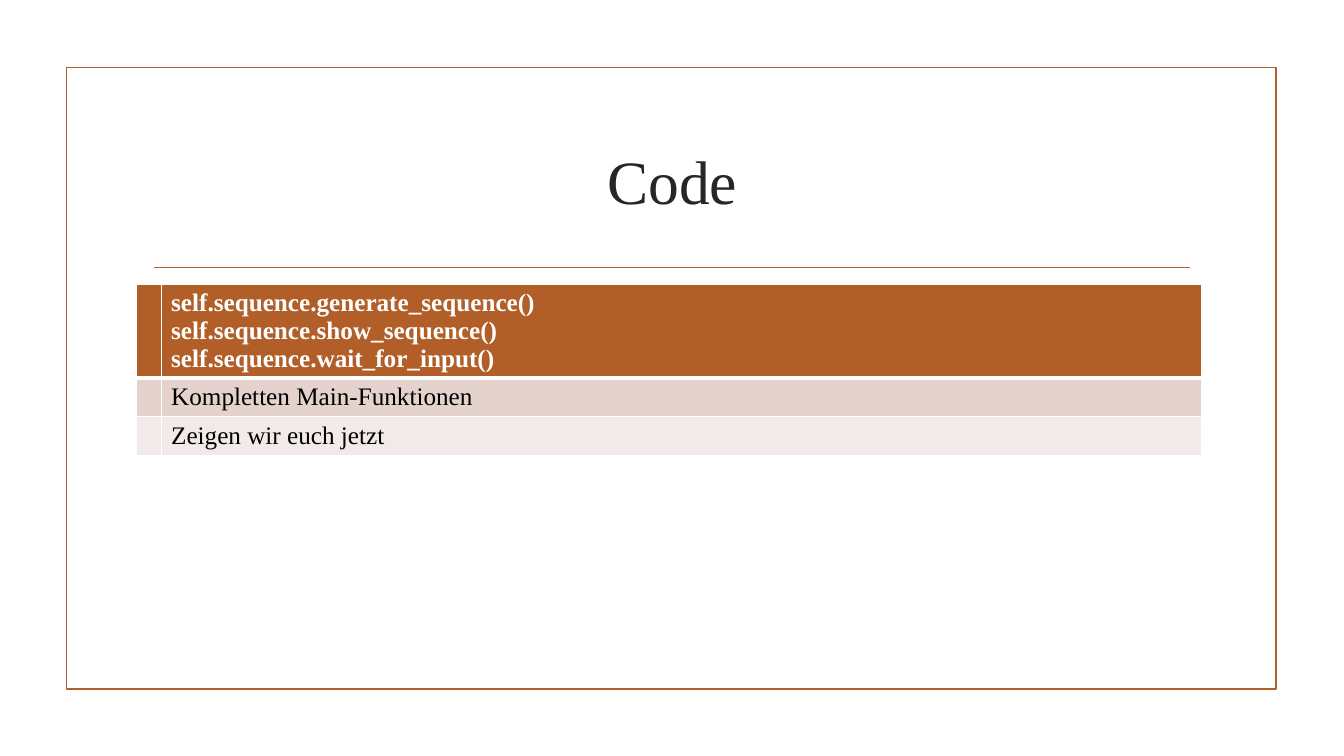
from dataclasses import dataclass

from lxml import etree
from pptx import Presentation
from pptx.dml.color import RGBColor
from pptx.enum import shapes, text
from pptx.oxml import ns
from pptx.util import Cm, Pt


@dataclass(frozen=True)
class Theme:
    font: str = "Times New Roman"
    accent: str = "B15E28"
    title_color: str = "262626"
    cell_border: str = "FFFFFF"
    title_size: float = 44
    body_size: float = 18
    line_width: float = 1.25


@dataclass(frozen=True)
class TableRow:
    lines: tuple[str, ...]
    height: float
    fill: str
    color: str
    bold: bool = False
    top_border: float = 1
    bottom_border: float = 1


THEME = Theme()
COLUMN_WIDTHS = (0.61, 26.21)
ROWS = (
    TableRow(
        ("self.sequence.generate_sequence()",
         "self.sequence.show_sequence()",
         "self.sequence.wait_for_input()"),
        2.34, THEME.accent, "FFFFFF", bold=True, bottom_border=3),
    TableRow(("Kompletten Main-Funktionen",), 0.98, "E4D2CD", "000000", top_border=3),
    TableRow(("Zeigen wir euch jetzt",), 0.98, "F2EAE8", "000000"),
)


def style_font(font, size: float, color: str, bold: bool = False) -> None:
    font.name = THEME.font
    font.size = Pt(size)
    font.bold = bold
    font.color.rgb = RGBColor.from_string(color)


def style_line(line) -> None:
    line.color.rgb = RGBColor.from_string(THEME.accent)
    line.width = Pt(THEME.line_width)


def add_border(cell, side: str, width: float) -> None:
    properties = cell._tc.get_or_add_tcPr()
    border = etree.SubElement(properties, ns.qn(f"a:ln{side}"), w=str(Pt(width)))
    fill = etree.SubElement(border, ns.qn("a:solidFill"))
    etree.SubElement(fill, ns.qn("a:srgbClr"), val=THEME.cell_border)


def fill_cell(cell, row: TableRow, lines: tuple[str, ...]) -> None:
    borders = {"L": 1, "R": 1, "T": row.top_border, "B": row.bottom_border}
    for side, width in borders.items():
        add_border(cell, side, width)
    cell.fill.solid()
    cell.fill.fore_color.rgb = RGBColor.from_string(row.fill)
    cell.text = "\n".join(lines)
    for para in cell.text_frame.paragraphs:
        style_font(para.font, THEME.body_size, row.color, row.bold)


def add_frame(page) -> None:
    frame = page.shapes.add_shape(
        shapes.MSO_SHAPE.RECTANGLE, Cm(1.68), Cm(1.7), Cm(30.48), Cm(15.67))
    frame.shadow.inherit = False
    frame.fill.background()
    style_line(frame.line)


def add_divider(page) -> None:
    divider = page.shapes.add_connector(
        shapes.MSO_CONNECTOR.STRAIGHT, Cm(3.89), Cm(6.74), Cm(30), Cm(6.74))
    etree.SubElement(divider._element.spPr, ns.qn("a:effectLst"))
    style_line(divider.line)


def set_title(page, wording: str) -> None:
    title = page.shapes.title
    title.left, title.top, title.width, title.height = (
        Cm(3.61), Cm(2.72), Cm(26.67), Cm(3.63))
    title.text_frame.text = wording
    title.text_frame.vertical_anchor = text.MSO_ANCHOR.MIDDLE
    para = title.text_frame.paragraphs[0]
    para.alignment = text.PP_ALIGN.CENTER
    style_font(para.font, THEME.title_size, THEME.title_color)


def add_code_table(page) -> None:
    table = page.shapes.add_table(
        len(ROWS), len(COLUMN_WIDTHS), Cm(3.45), Cm(7.16),
        Cm(sum(COLUMN_WIDTHS)), Cm(sum(row.height for row in ROWS))).table
    for column, width in zip(table.columns, COLUMN_WIDTHS):
        column.width = Cm(width)
    for table_row, row in zip(table.rows, ROWS):
        table_row.height = Cm(row.height)
        marker, content = table_row.cells
        fill_cell(marker, row, ())
        fill_cell(content, row, row.lines)


def main() -> None:
    deck = Presentation()
    deck.slide_width, deck.slide_height = Cm(33.87), Cm(19.05)
    page = deck.slides.add_slide(deck.slide_layouts[5])

    # Frame and title
    add_frame(page)
    add_divider(page)
    set_title(page, "Code")

    # Code table
    add_code_table(page)

    deck.save("out.pptx")


if __name__ == "__main__":
    main()
